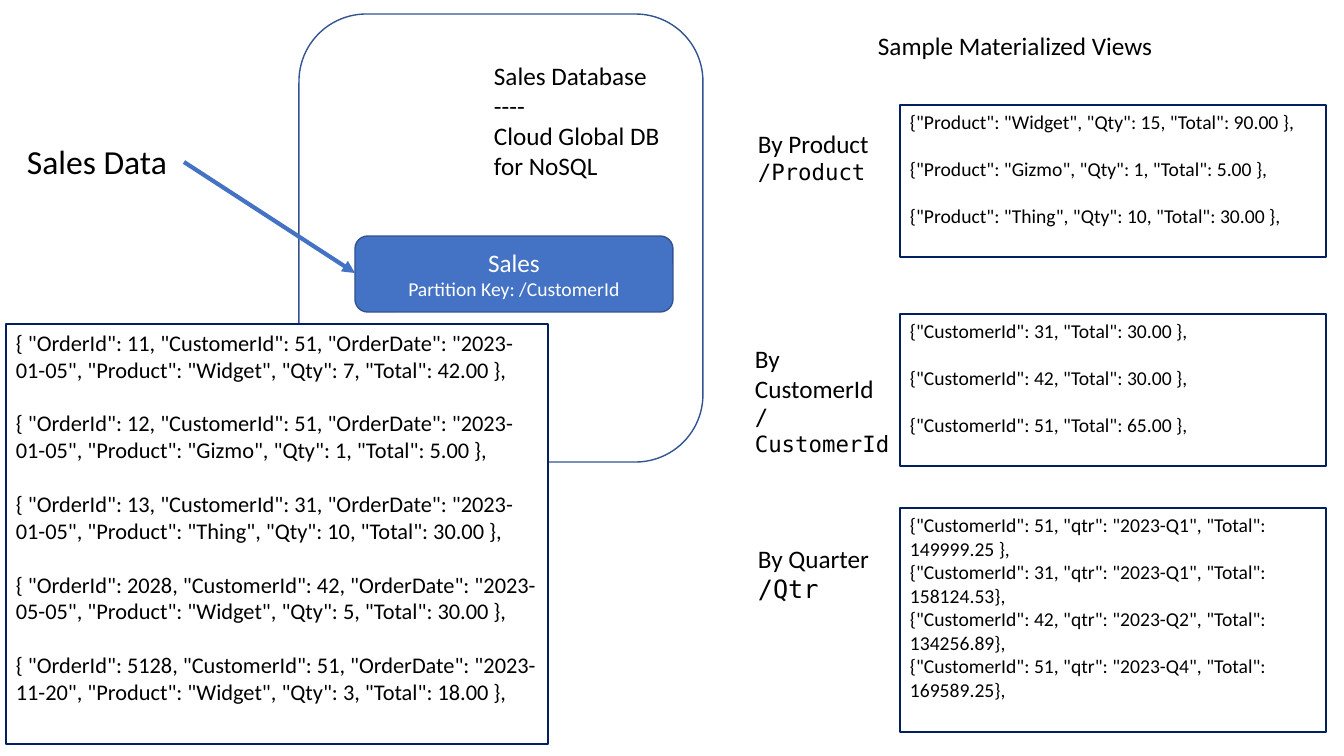
from dataclasses import dataclass

from lxml.etree import SubElement
from pptx import Presentation
from pptx.dml.color import RGBColor
from pptx.enum.shapes import MSO_CONNECTOR as Connector, MSO_SHAPE as Preset
from pptx.enum.text import MSO_ANCHOR as Anchor, PP_ALIGN as Align
from pptx.oxml.ns import qn
from pptx.util import Pt

SCALE = 914400 / 100.8
COLORS = {"text": "000000", "white": "FFFFFF", "blue": "4472C4",
          "outline": "325491", "navy": "002060"}
SANS, MONO = "Calibri", "DejaVu Sans Mono"


@dataclass
class Box:
    left: int
    top: int
    width: int
    height: int


@dataclass
class Line:
    text: str
    size: int = 18
    font: str = SANS


@dataclass
class Label:
    box: Box
    lines: list[Line]


@dataclass
class Records:
    box: Box
    texts: list[str]
    size: int = 14
    spaced: bool = True


def emu(pixels: int) -> int:
    return round(pixels * SCALE)


def place(box: Box) -> list[int]:
    return [emu(value) for value in (box.left, box.top, box.width, box.height)]


def color(name: str) -> RGBColor:
    return RGBColor.from_string(COLORS[name])


def write(shape, lines: list[Line], *, ink: str = "text", align=Align.LEFT,
          anchor=Anchor.TOP, gap: float = 0) -> None:
    frame = shape.text_frame
    frame.word_wrap = True
    frame.vertical_anchor = anchor
    for index, line in enumerate(lines):
        paragraph = frame.add_paragraph() if index else frame.paragraphs[0]
        paragraph.alignment = align
        paragraph.space_before = Pt(gap if index else 0)
        run = paragraph.add_run()
        run.text = line.text
        run.font.name = line.font
        run.font.size = Pt(line.size)
        run.font.color.rgb = color(ink)


def add_panel(slide, preset, box: Box, *, outline: str, fill: str | None = None):
    shape = slide.shapes.add_shape(preset, *place(box))
    shape.shadow.inherit = False
    if fill:
        shape.fill.solid()
        shape.fill.fore_color.rgb = color(fill)
    else:
        shape.fill.background()
    shape.line.color.rgb = color(outline)
    shape.line.width = Pt(1)
    return shape


def add_label(slide, label: Label) -> None:
    write(slide.shapes.add_textbox(*place(label.box)), label.lines)


def add_records(slide, records: Records) -> None:
    shape = add_panel(slide, Preset.RECTANGLE, records.box, outline="navy", fill="white")
    gap = 1.2 * records.size if records.spaced else 0  # one line of space
    write(shape, [Line(text, records.size) for text in records.texts], gap=gap)


def add_arrow(slide, start: tuple[int, int], end: tuple[int, int]) -> None:
    arrow = slide.shapes.add_connector(
        Connector.STRAIGHT, *[emu(value) for value in (*start, *end)])
    arrow.line.color.rgb = color("blue")
    arrow.line.width = Pt(3)
    SubElement(arrow.line._get_or_add_ln(), qn("a:tailEnd"), type="triangle")
    SubElement(arrow._element.spPr, qn("a:effectLst"))


ORDERS = [
    (11, 51, "2023-01-05", "Widget", 7, "42.00"),
    (12, 51, "2023-01-05", "Gizmo", 1, "5.00"),
    (13, 31, "2023-01-05", "Thing", 10, "30.00"),
    (2028, 42, "2023-05-05", "Widget", 5, "30.00"),
    (5128, 51, "2023-11-20", "Widget", 3, "18.00"),
]
PRODUCTS = [("Widget", 15, "90.00"), ("Gizmo", 1, "5.00"), ("Thing", 10, "30.00")]
CUSTOMERS = [(31, "30.00"), (42, "30.00"), (51, "65.00")]
QUARTERS = [(51, "Q1", "149999.25 "), (31, "Q1", "158124.53"),
            (42, "Q2", "134256.89"), (51, "Q4", "169589.25")]

LABELS = [
    Label(Box(17, 136, 167, 50), [Line("Sales Data", 24)]),
    Label(Box(484, 55, 188, 132), [Line("Sales Database"), Line("----"),
                                   Line("Cloud Global DB for NoSQL")]),
    Label(Box(868, 25, 353, 41), [Line("Sample Materialized Views")]),
    Label(Box(748, 123, 140, 68), [Line("By Product"), Line("/Product", 16, MONO)]),
    Label(Box(745, 338, 155, 99), [Line("By"), Line("CustomerId"),
                                   Line("/CustomerId", 16, MONO)]),
    Label(Box(748, 538, 155, 72), [Line("By Quarter"), Line("/Qtr", 18, MONO)]),
]
RECORDS = [
    Records(Box(6, 324, 542, 420), [
        f'{{ "OrderId": {order}, "CustomerId": {customer}, "OrderDate": "{date}", '
        f'"Product": "{product}", "Qty": {quantity}, "Total": {total} }},'
        for order, customer, date, product, quantity, total in ORDERS], size=16),
    Records(Box(900, 105, 426, 152), [
        f'{{"Product": "{product}", "Qty": {quantity}, "Total": {total} }},'
        for product, quantity, total in PRODUCTS]),
    Records(Box(900, 314, 426, 152), [
        f'{{"CustomerId": {customer}, "Total": {total} }},'
        for customer, total in CUSTOMERS]),
    Records(Box(900, 508, 426, 224), [
        f'{{"CustomerId": {customer}, "qtr": "2023-{quarter}", "Total": {total}}},'
        for customer, quarter, total in QUARTERS], spaced=False),
]

presentation = Presentation()
presentation.slide_width, presentation.slide_height = emu(1344), emu(756)
slide = presentation.slides.add_slide(presentation.slide_layouts[6])

# Database and its sales container
add_panel(slide, Preset.ROUNDED_RECTANGLE, Box(299, 14, 404, 448), outline="outline")
container = add_panel(slide, Preset.ROUNDED_RECTANGLE, Box(355, 236, 318, 76),
                      outline="outline", fill="blue")
write(container, [Line("Sales"), Line("Partition Key: /CustomerId", 14)],
      ink="white", align=Align.CENTER, anchor=Anchor.MIDDLE)
add_arrow(slide, (184, 162), (355, 273))

# Headings and view names
for label in LABELS:
    add_label(slide, label)

# Orders and materialized views
for records in RECORDS:
    add_records(slide, records)

presentation.save("out.pptx")
